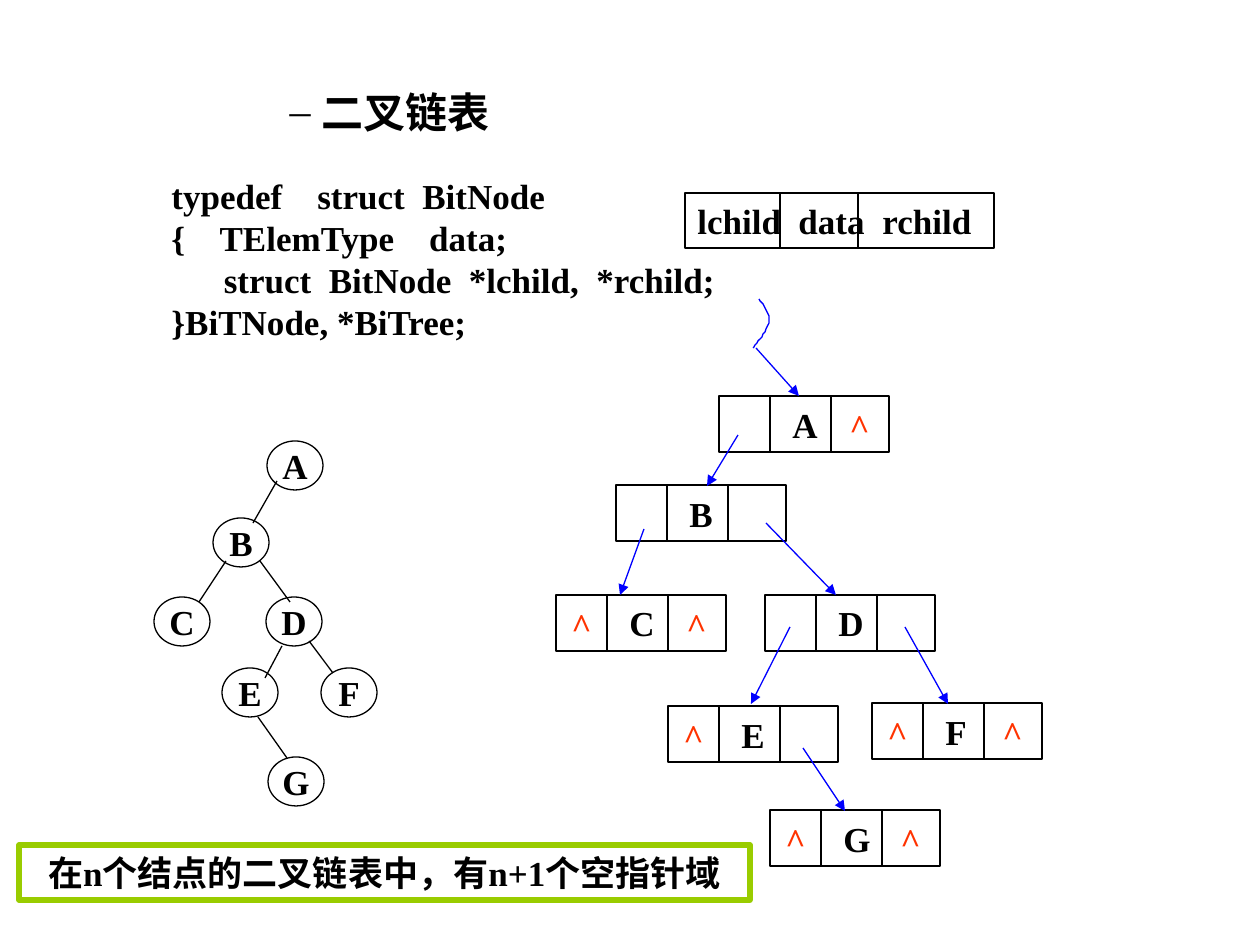
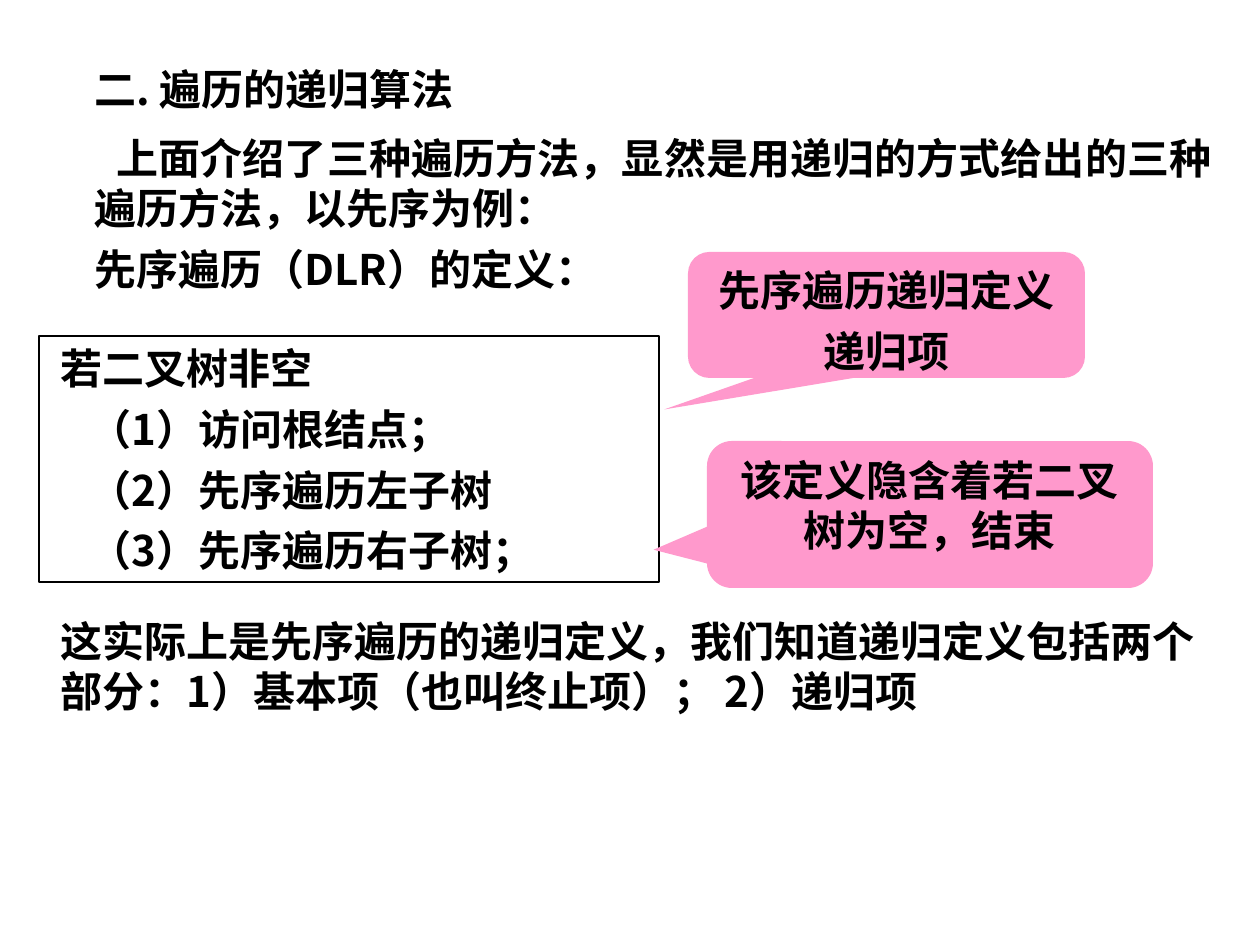
from lxml import etree
from pptx import Presentation
from pptx import util as u
from pptx.dml.color import RGBColor
from pptx.enum import shapes, text
from pptx.oxml.ns import qn

SCALE = 914400 / 126
BLACK, BLUE, RED, GREEN, PINK = "000000", "0000FF", "FF3300", "99CC00", "FF99CC"
SERIF, SANS, CJK = "Times New Roman", "Arial", "Noto Sans CJK SC"
LEFT, CENTER, JUSTIFY = text.PP_ALIGN.LEFT, text.PP_ALIGN.CENTER, text.PP_ALIGN.JUSTIFY
TOP, MIDDLE = text.MSO_ANCHOR.TOP, text.MSO_ANCHOR.MIDDLE
RECT = shapes.MSO_SHAPE.RECTANGLE
OVAL = shapes.MSO_SHAPE.OVAL
CALLOUT = shapes.MSO_SHAPE.ROUNDED_RECTANGULAR_CALLOUT


def px(length):
    return u.Emu(round(length * SCALE))


def rgb(value):
    return RGBColor.from_string(value)


def bezier(start, first, second, end, steps=12):
    for step in range(1, steps + 1):
        t = step / steps
        weights = ((1 - t) ** 3, 3 * t * (1 - t) ** 2, 3 * t * t * (1 - t), t ** 3)
        points = (start, first, second, end)
        yield tuple(sum(w * p[axis] for w, p in zip(weights, points)) for axis in (0, 1))


class Deck:
    def __init__(self):
        self.prs = Presentation()
        self.prs.slide_width, self.prs.slide_height = u.Inches(10), u.Inches(7.5)
        self.slide = None
        self.font, self.size = SERIF, 20

    def new_slide(self, font, size):
        self.slide = self.prs.slides.add_slide(self.prs.slide_layouts[5])
        self.font, self.size = font, size

    def title(self, words, box, font, bullet=None):
        holder = self.slide.shapes.title
        holder.left, holder.top, holder.width, holder.height = map(px, box)
        self.set_text(holder, [words], anchor=TOP, font=font, size=24,
                      indents=[(32, -32)] if bullet else ())
        if bullet:
            props = holder.text_frame.paragraphs[0]._p.get_or_add_pPr()
            etree.SubElement(props, qn("a:buFont"), typeface=SERIF)
            etree.SubElement(props, qn("a:buChar"), char=bullet)

    def set_text(self, shape, lines, align=LEFT, anchor=MIDDLE, color=BLACK, font=None,
                 size=None, indents=(), gap=0, wrap=True, tabs=()):
        frame = shape.text_frame
        frame.word_wrap = wrap
        frame.auto_size = text.MSO_AUTO_SIZE.NONE
        frame.vertical_anchor = anchor
        frame.margin_left = frame.margin_right = u.Inches(0.1)
        frame.margin_top = frame.margin_bottom = u.Inches(0.05)
        for index, line in enumerate(lines):
            paragraph = frame.add_paragraph() if index else frame.paragraphs[0]
            paragraph.alignment = align
            paragraph.space_before = u.Pt(gap if index else 0)
            props = paragraph._p.get_or_add_pPr()
            if index < len(indents):
                margin, first = indents[index]
                props.set("marL", str(px(margin)))
                props.set("indent", str(px(first)))
            if tabs:
                stops = etree.SubElement(props, qn("a:tabLst"))
                for stop in tabs:
                    etree.SubElement(stops, qn("a:tab"), pos=str(px(stop)), algn="l")
            run = paragraph.add_run()
            run.text = line
            run.font.size, run.font.bold = u.Pt(size or self.size), True
            run.font.color.rgb = rgb(color)
            run.font.name = font or self.font
            etree.SubElement(run._r.get_or_add_rPr(), qn("a:ea"), typeface=CJK)

    def label(self, lines, box, **style):
        self.set_text(self.slide.shapes.add_textbox(*map(px, box)), lines, **style)

    def shape(self, kind, box, lines, line=BLACK, weight=0.75, fill=None, adjust=(), **style):
        shape = self.slide.shapes.add_shape(kind, *map(px, box))
        for index, value in enumerate(adjust):
            shape.adjustments[index] = value
        self.outline(shape, line, weight, fill)
        self.set_text(shape, lines, **style)

    def outline(self, shape, line, weight=0.75, fill=None):
        shape.shadow.inherit = False
        if fill:
            shape.fill.solid()
            shape.fill.fore_color.rgb = rgb(fill)
        else:
            shape.fill.background()
        if line:
            shape.line.color.rgb = rgb(line)
            shape.line.width = u.Pt(weight)
        else:
            shape.line.fill.background()

    def line(self, x1, y1, x2, y2, color=BLACK, arrow=False):
        link = self.slide.shapes.add_connector(
            shapes.MSO_CONNECTOR.STRAIGHT, px(x1), px(y1), px(x2), px(y2))
        link.line.color.rgb = rgb(color)
        link.line.width = u.Pt(0.75)
        props = link._element.spPr
        if arrow:
            etree.SubElement(props.find(qn("a:ln")), qn("a:tailEnd"), type="triangle")
        etree.SubElement(props, qn("a:effectLst"))

    def curve(self, start, pieces, color):
        builder = self.slide.shapes.build_freeform(*start, scale=SCALE)
        for piece in pieces:
            builder.add_line_segments(list(bezier(start, *piece)), close=False)
            start = piece[-1]
        self.outline(builder.convert_to_shape(), color)

    def record(self, name, x, y, nulls):
        width, height = 170, 56
        self.shape(RECT, (x, y, width, height), [name], indents=[(61, 0)])
        for divider in (51, 112):
            self.line(x + divider, y, x + divider, y + height)
        for side in nulls:
            offset = {"L": 3, "R": 118}[side]
            self.label(["^"], (x + offset, y + 2, 45, 55), align=CENTER, color=RED, wrap=False)


def linked_list_slide(deck):
    deck.new_slide(SERIF, 20)
    deck.title("二叉链表", (277, 80, 500, 64), SANS, bullet="–")
    deck.label([
        "typedef    struct  BitNode",
        "{    TElemType    data;",
        "      struct  BitNode  *lchild,  *rchild;",
        "}BiTNode, *BiTree;",
    ], (159, 168, 600, 181))

    deck.shape(RECT, (685, 193, 309, 55), ["lchild\tdata\trchild"], tabs=(101, 185))
    for divider in (780, 858):
        deck.line(divider, 193, divider, 248)

    tree_nodes = {"A": (267, 441), "B": (213, 518), "C": (154, 597), "D": (266, 597),
                  "E": (222, 668), "F": (321, 668), "G": (268, 757)}
    for name, (x, y) in tree_nodes.items():
        deck.shape(OVAL, (x, y, 56, 49), [name], align=CENTER, wrap=False)
    tree_edges = [(277, 481, 253, 523), (226, 561, 199, 602), (260, 561, 290, 602),
                  (282, 646, 265, 678), (309, 641, 333, 673), (258, 717, 287, 758)]
    for edge in tree_edges:
        deck.line(*edge)

    deck.shape(RECT, (19, 845, 731, 55), ["在n个结点的二叉链表中，有n+1个空指针域"],
               line=GREEN, weight=3, align=CENTER, wrap=False)

    records = [("A", 719, 396, "R"), ("B", 616, 485, ""), ("C", 556, 595, "LR"),
               ("D", 765, 595, ""), ("E", 668, 706, "L"), ("F", 872, 703, "LR"),
               ("G", 770, 810, "LR")]
    for record in records:
        deck.record(*record)
    pointers = [(756, 348, 799, 396), (738, 435, 707, 486), (644, 529, 620, 595),
                (766, 523, 836, 595), (790, 627, 751, 704), (905, 627, 948, 704),
                (803, 748, 845, 811)]
    for pointer in pointers:
        deck.line(*pointer, color=BLUE, arrow=True)
    deck.curve((759, 299), [((764, 306), (770, 314), (769, 323)),
                            ((767, 330), (757, 344), (753, 348))], BLUE)


def recursion_slide(deck):
    deck.new_slide(CJK, 24)
    deck.title("二. 遍历的递归算法", (82, 57, 1140, 64), CJK)
    deck.label([
        "上面介绍了三种遍历方法，显然是用递归的方式给出的三种遍历方法，以先序为例：",
        "先序遍历（DLR）的定义：",
    ], (82, 126, 1142, 176), align=JUSTIFY, anchor=TOP, indents=[(0, 22)], gap=6)
    deck.shape(RECT, (39, 336, 620, 246), [
        "若二叉树非空",
        "（1）访问根结点；",
        "（2）先序遍历左子树",
        "（3）先序遍历右子树；",
    ], weight=1, anchor=TOP, indents=[(9, 0)] + [(38, 0)] * 3, gap=6)
    deck.label(["这实际上是先序遍历的递归定义，我们知道递归定义包括两个部分：1）基本项（也叫终止项）； 2）递归项"],
               (48, 609, 1163, 113), anchor=TOP)

    callouts = [
        ((688, 252, 397, 126), (-0.56, 0.75, 0.17), ["先序遍历递归定义", "递归项"]),
        ((707, 441, 446, 147), (-0.62, 0.24, 0.17), ["该定义隐含着若二叉树为空，结束"]),
    ]
    for box, adjust, lines in callouts:
        deck.shape(CALLOUT, box, lines, line=None, fill=PINK, adjust=adjust,
                   align=CENTER, anchor=TOP, gap=6)


def main():
    deck = Deck()
    linked_list_slide(deck)
    recursion_slide(deck)
    deck.prs.save("out.pptx")


if __name__ == "__main__":
    main()
